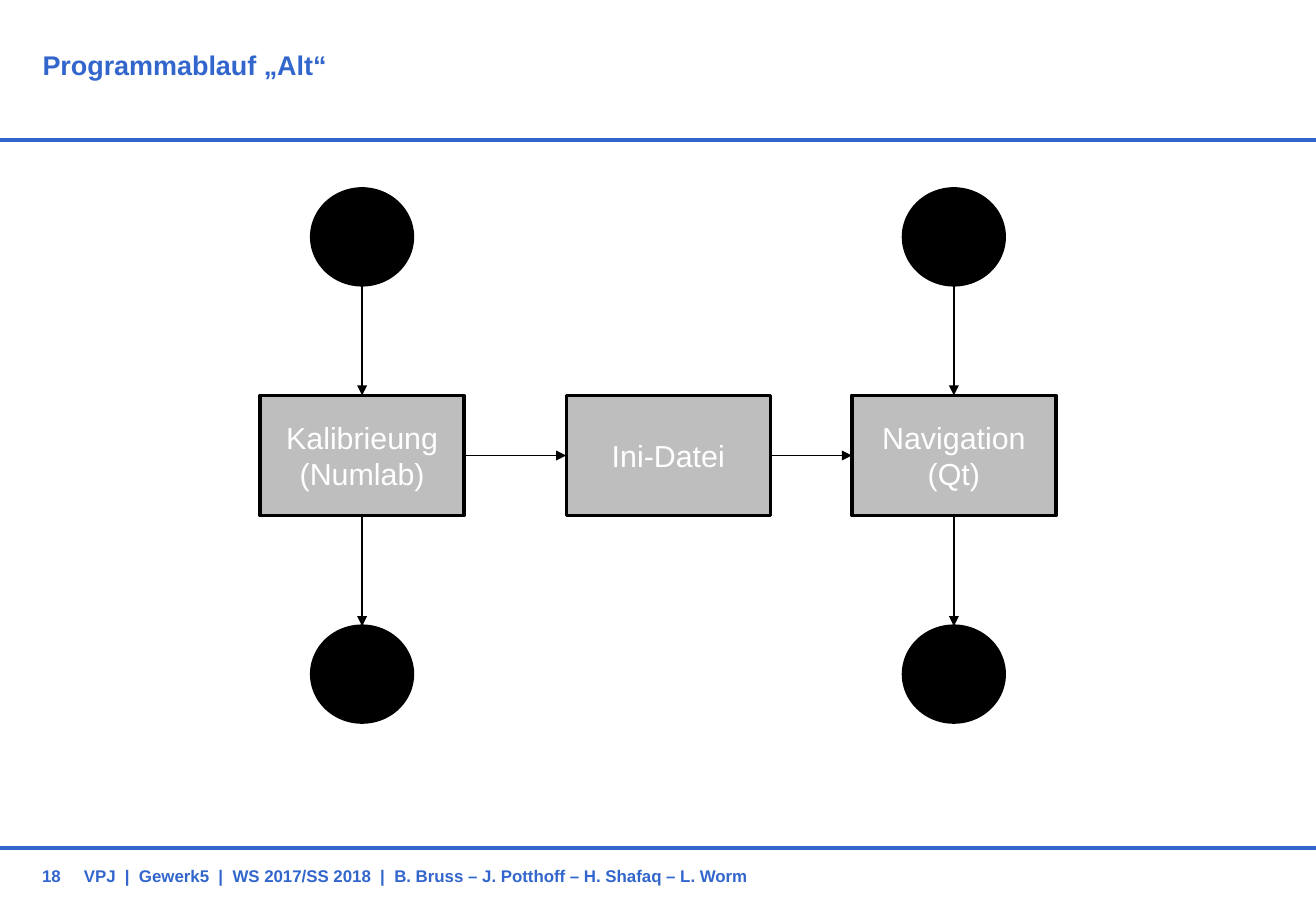
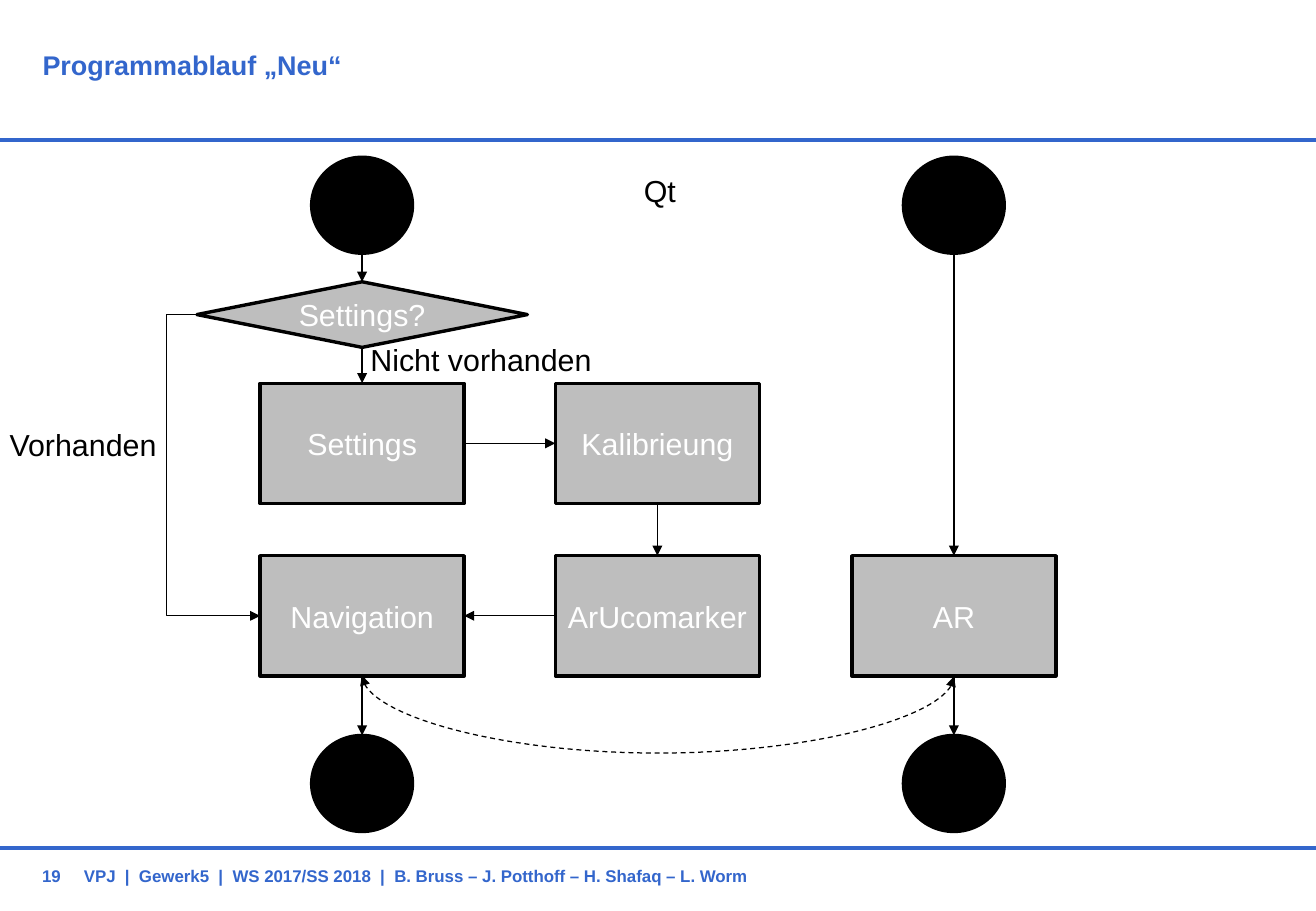
from lxml import etree
from pptx import Presentation
from pptx import util as u
from pptx.dml.color import RGBColor
from pptx.enum import dml, shapes, text
from pptx.oxml.ns import qn

FONT, BLUE, GREY, BLACK, WHITE = "Arial", "3366CC", "BEBEBE", "000000", "FFFFFF"
FOOTER = "VPJ  |  Gewerk5  |  WS 2017/SS 2018  |  B. Bruss – J. Potthoff – H. Shafaq – L. Worm"
WIDTH, HEIGHT = 10.83, 7.5
RULES = (1.15, 6.98)
LEFT, RIGHT = 2.98, 7.85
TOP, WEST, BOTTOM, EAST = range(4)
KINDS = {
    "dot": (shapes.MSO_SHAPE.OVAL, 0.83, 0.79, BLACK),
    "step": (shapes.MSO_SHAPE.RECTANGLE, 1.68, 0.99, GREY),
    "choice": (shapes.MSO_SHAPE.DIAMOND, 2.72, 0.54, GREY),
}

PAGES = [
    {
        "title": "Programmablauf „Alt“",
        "number": "18",
        "nodes": {
            "start left": ("dot", "", LEFT, 1.95),
            "start right": ("dot", "", RIGHT, 1.95),
            "calibration": ("step", "Kalibrieung\n(Numlab)", LEFT, 3.75),
            "ini": ("step", "Ini-Datei", 5.5, 3.75),
            "navigation": ("step", "Navigation\n(Qt)", RIGHT, 3.75),
            "end left": ("dot", "", LEFT, 5.55),
            "end right": ("dot", "", RIGHT, 5.55),
        },
        "links": [
            ("start left", BOTTOM, "calibration", TOP),
            ("calibration", BOTTOM, "end left", TOP),
            ("start right", BOTTOM, "navigation", TOP),
            ("navigation", BOTTOM, "end right", TOP),
            ("calibration", EAST, "ini", WEST),
            ("ini", EAST, "navigation", WEST),
        ],
        "captions": [],
    },
    {
        "title": "Programmablauf „Neu“",
        "number": "19",
        "nodes": {
            "start left": ("dot", "", LEFT, 1.69),
            "start right": ("dot", "", RIGHT, 1.69),
            "choice": ("choice", "Settings?", LEFT, 2.59),
            "settings": ("step", "Settings", LEFT, 3.65),
            "calibration": ("step", "Kalibrieung", 5.41, 3.65),
            "navigation": ("step", "Navigation", LEFT, 5.07),
            "marker": ("step", "ArUcomarker", 5.41, 5.07),
            "ar": ("step", "AR", RIGHT, 5.07),
            "end left": ("dot", "", LEFT, 6.45),
            "end right": ("dot", "", RIGHT, 6.45),
        },
        "links": [
            ("start left", BOTTOM, "choice", TOP),
            ("choice", BOTTOM, "settings", TOP),
            ("settings", EAST, "calibration", WEST),
            ("calibration", BOTTOM, "marker", TOP),
            ("marker", WEST, "navigation", EAST),
            ("navigation", BOTTOM, "end left", TOP),
            ("start right", BOTTOM, "ar", TOP),
            ("ar", BOTTOM, "end right", TOP),
        ],
        "bypass": ("choice", WEST, "navigation", WEST),
        "exchange": ("navigation", BOTTOM, "ar", BOTTOM),
        "captions": [
            ("Vorhanden", -0.02, 3.46, 1.42),
            ("Nicht vorhanden", 2.95, 2.76, 2.04),
            ("Qt", 5.2, 1.37, 0.47),
        ],
    },
]


def rgb(value):
    return RGBColor.from_string(value)


def write(frame, words, size, color, bold=False, align=text.PP_ALIGN.LEFT):
    frame.text = words
    for para in frame.paragraphs:
        para.alignment = align
        for span in para.runs:
            span.font.name, span.font.size, span.font.bold = FONT, u.Pt(size), bold
            span.font.color.rgb = rgb(color)


def set_margins(frame, top=0):
    frame.margin_left = frame.margin_right = frame.margin_bottom = 0
    frame.margin_top = u.Inches(top)


def style_line(connector, color, width, heads=()):
    connector.line.color.rgb = rgb(color)
    connector.line.width = u.Pt(width)
    for head in heads:
        etree.SubElement(connector.element.spPr.get_or_add_ln(), qn(f"a:{head}"), type="triangle")
    etree.SubElement(connector.element.spPr, qn("a:effectLst"))


def add_line(page, kind, start, end):
    return page.shapes.add_connector(kind, *map(u.Inches, (*start, *end)))


def add_rules(page, layout):
    for y in RULES:
        rule = add_line(page, shapes.MSO_CONNECTOR.STRAIGHT, (0, y), (WIDTH, y))
        style_line(rule, BLUE, 2.25)
        layout.shapes.element.append(rule.element)


def add_footer(page, words, left, width, align):
    box = page.shapes.add_textbox(*map(u.Inches, (left, RULES[1], width, 0.31)))
    frame = box.text_frame
    frame.word_wrap = True
    frame.vertical_anchor = text.MSO_ANCHOR.BOTTOM
    set_margins(frame)
    write(frame, words, 10, BLUE, True, align)


def add_node(page, kind, words, x, y):
    preset, width, height, fill = KINDS[kind]
    place = map(u.Inches, (x - width / 2, y - height / 2, width, height))
    node = page.shapes.add_shape(preset, *place)
    node.shadow.inherit = False
    node.fill.solid()
    node.fill.fore_color.rgb = rgb(fill)
    node.line.color.rgb = rgb(BLACK)
    node.line.width = u.Pt(2)
    if words:
        node.text_frame.vertical_anchor = text.MSO_ANCHOR.MIDDLE
        write(node.text_frame, words, 18, WHITE, align=text.PP_ALIGN.CENTER)
    return node


def side_point(node_spec, side):
    kind, _, x, y = node_spec
    _, width, height, _ = KINDS[kind]
    dx, dy = ((0, -1), (-1, 0), (0, 1), (1, 0))[side]
    return x + dx * width / 2, y + dy * height / 2


def add_link(page, specs, nodes, link, kind=shapes.MSO_CONNECTOR.STRAIGHT):
    source, out_side, target, in_side = link
    start, end = side_point(specs[source], out_side), side_point(specs[target], in_side)
    connector = add_line(page, kind, start, end)
    if specs[source][0] != "dot":
        connector.begin_connect(nodes[source], out_side)
    connector.end_connect(nodes[target], in_side)
    return connector


def bend(connector, share):
    guides = connector.element.spPr.find(qn("a:prstGeom")).get_or_add_avLst()
    etree.SubElement(guides, qn("a:gd"), name="adj1", fmla=f"val {round(share * 100000)}")


def add_bypass(page, specs, nodes, link, reach=0.25):
    connector = add_link(page, specs, nodes, link, shapes.MSO_CONNECTOR.ELBOW)
    style_line(connector, BLACK, 0.75, ["tailEnd"])
    x1, x2 = (side_point(specs[name], WEST)[0] for name in (link[0], link[2]))
    bend(connector, -reach / (x2 - x1))


def add_exchange(page, specs, nodes, link, depth=0.65, thin=0.01):
    connector = add_link(page, specs, nodes, link, shapes.MSO_CONNECTOR.CURVE)
    connector.line.dash_style = dml.MSO_LINE.DASH
    style_line(connector, BLACK, 0.75, ["headEnd", "tailEnd"])
    (x1, y), (x2, _) = (side_point(specs[name], BOTTOM) for name in (link[0], link[2]))
    reach = x2 - x1
    connector.left, connector.top = u.Inches((x1 + x2 - thin) / 2), u.Inches(y - reach / 2)
    connector.width, connector.height = u.Inches(thin), u.Inches(reach)
    frame = connector.element.spPr.find(qn("a:xfrm"))
    frame.set("rot", "16200000")
    frame.set("flipH", "1")
    bend(connector, depth / thin)


def add_caption(page, words, left, top, width):
    box = page.shapes.add_textbox(*map(u.Inches, (left, top, width, 0.4)))
    box.text_frame.word_wrap = False
    box.text_frame.auto_size = text.MSO_AUTO_SIZE.SHAPE_TO_FIT_TEXT
    write(box.text_frame, words, 18, BLACK)


def build_page(page, content):
    title = page.shapes.title
    title.left, title.top, title.width, title.height = map(u.Inches, (0.35, 0.36, 6.94, 0.79))
    frame = title.text_frame
    frame.auto_size = text.MSO_AUTO_SIZE.NONE
    frame.vertical_anchor = text.MSO_ANCHOR.TOP
    set_margins(frame, 0.04)
    write(frame, content["title"], 16, BLUE, True)
    add_footer(page, FOOTER, 0.69, 9.45, text.PP_ALIGN.LEFT)
    add_footer(page, content["number"], 0, 0.5, text.PP_ALIGN.RIGHT)

    specs = content["nodes"]
    nodes = {name: add_node(page, *node_spec) for name, node_spec in specs.items()}
    for link in content["links"]:
        style_line(add_link(page, specs, nodes, link), BLACK, 0.75, ["tailEnd"])
    if "bypass" in content:
        add_bypass(page, specs, nodes, content["bypass"])
    if "exchange" in content:
        add_exchange(page, specs, nodes, content["exchange"])
    for caption in content["captions"]:
        add_caption(page, *caption)


def main():
    deck = Presentation()
    deck.slide_width, deck.slide_height = u.Inches(WIDTH), u.Inches(HEIGHT)
    layout = deck.slide_layouts.get_by_name("Title Only")
    for index, content in enumerate(PAGES):
        page = deck.slides.add_slide(layout)
        if index == 0:
            add_rules(page, layout)
        build_page(page, content)
    deck.save("out.pptx")


if __name__ == "__main__":
    main()
